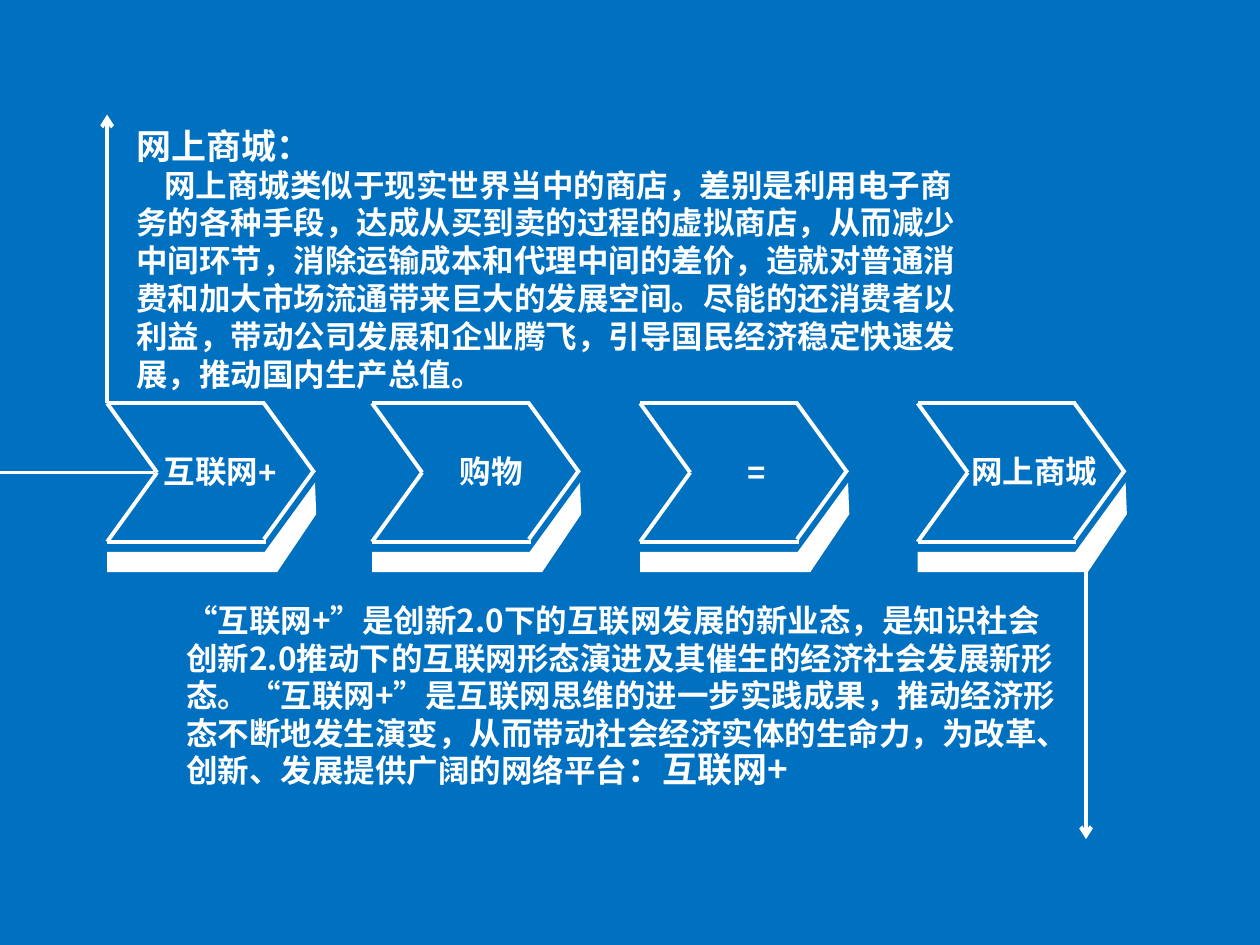
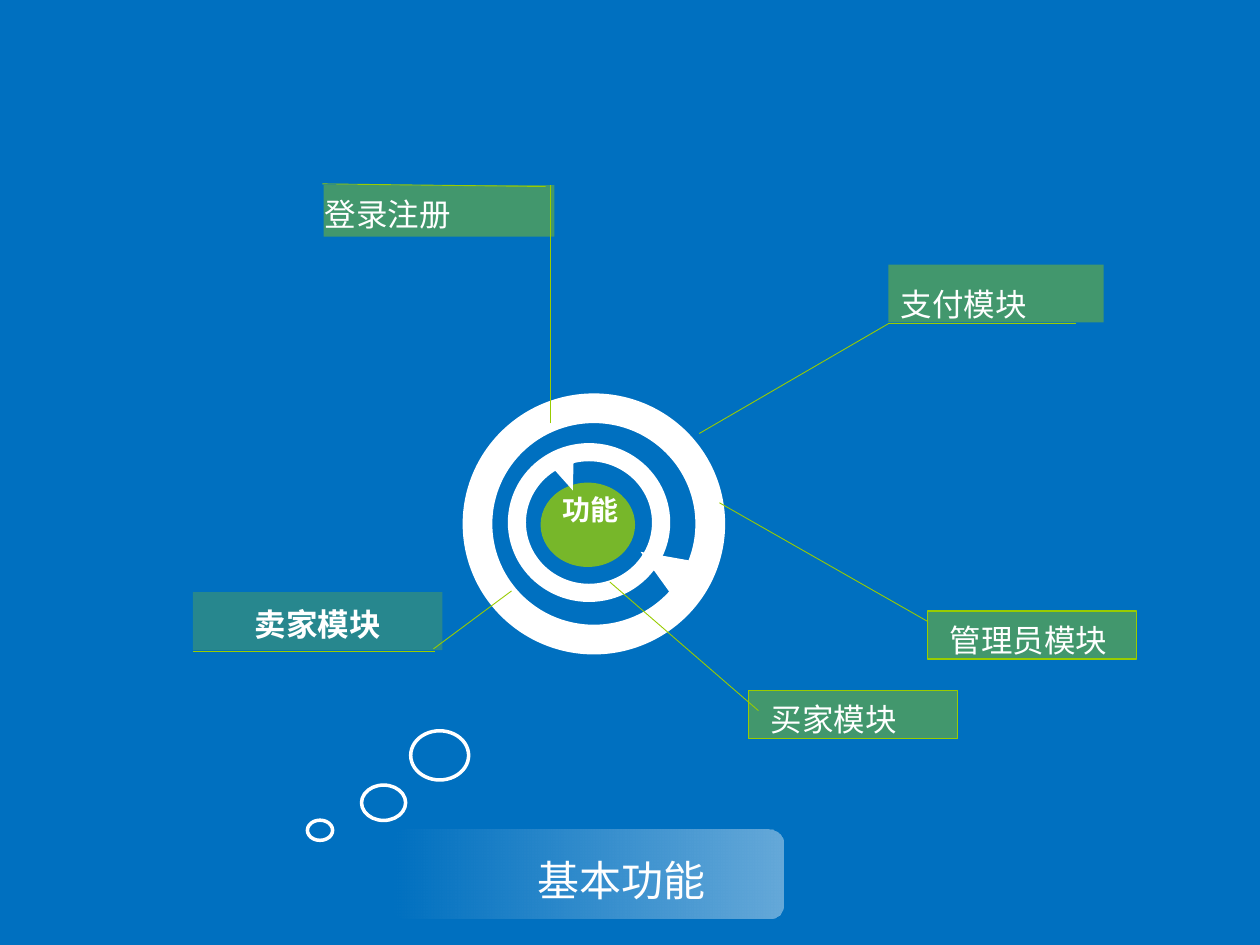
from pptx import Presentation
from pptx.dml.color import RGBColor
from pptx.enum.shapes import MSO_CONNECTOR, MSO_SHAPE
from pptx.enum.text import MSO_ANCHOR, MSO_AUTO_SIZE, PP_ALIGN
from pptx.oxml.ns import qn
from pptx.util import Pt
from lxml import etree

STRAIGHT = MSO_CONNECTOR.STRAIGHT
RECT, OVAL, DONUT = MSO_SHAPE.RECTANGLE, MSO_SHAPE.OVAL, MSO_SHAPE.DONUT
TRIANGLE, PILL = MSO_SHAPE.ISOSCELES_TRIANGLE, MSO_SHAPE.ROUNDED_RECTANGLE
LEFT, CENTER = PP_ALIGN.LEFT, PP_ALIGN.CENTER
TOP = MSO_ANCHOR.TOP
BLUE = RGBColor(0x00, 0x70, 0xC0)
WHITE = RGBColor(0xFF, 0xFF, 0xFF)
GREEN = RGBColor(0x99, 0xCC, 0x00)
CJK, LATIN = "Noto Sans CJK SC", "Arial"
FRAME = {"margin_left": Pt(7.2), "margin_right": Pt(7.2), "margin_top": Pt(5.6),
         "margin_bottom": Pt(3.6), "vertical_anchor": TOP, "word_wrap": True,
         "auto_size": MSO_AUTO_SIZE.NONE}

# ---- Content: slide 1 ----
MALL_TITLE = "网上商城："
MALL_TEXT = (
    "网上商城类似于现实世界当中的商店，差别是利用电子商务的各种手段，达成从买到卖的过程的虚拟商店，"
    "从而减少中间环节，消除运输成本和代理中间的差价，造就对普通消费和加大市场流通带来巨大的发展空间。"
    "尽能的还消费者以利益，带动公司发展和企业腾飞，引导国民经济稳定快速发展，推动国内生产总值。")
INTERNET_TEXT = (
    "“互联网+”是创新2.0下的互联网发展的新业态，是知识社会创新2.0推动下的互联网形态演进及其催生的"
    "经济社会发展新形态。“互联网+”是互联网思维的进一步实践成果，推动经济形态不断地发生演变，"
    "从而带动社会经济实体的生命力，为改革、创新、发展提供广阔的网络平台")
INTERNET_END = "：互联网+"
# label, left edge of the chevron, left edge of the label
STEPS = [("互联网+", 61.2, 86.4), ("购物", 212.6, 255.6),
         ("=", 365.8, 419.8), ("网上商城", 524.4, 547.9)]
CHEVRON_TOP = 230.4
CHEVRON_LINES = [((28.6, 39.6), (0, 0)), ((90.4, 0), (0, 0)),
                 ((118.4, 39.6), (89.6, 0)), ((28.6, 39.6), (0, 79.2)),
                 ((90.6, 79.2), (0, 79.2)), ((118.4, 38.2), (89.6, 77.8))]
CHEVRON_BASE = (0, 85, 97.2, 11.5)
CHEVRON_SIDE = [(90, 85), (118.8, 45.4), (119.5, 63.4), (97.2, 96.5)]
LEAD_IN = ((0, 270), (87.8, 270))
ARROWS = [((61.2, 230.4), (61.2, 65.5)), ((620.6, 327), (620.6, 479.5))]

# ---- Content: slide 2 ----
FUNCTION_TITLE = "基本功能"
HUB = "功能"
# plate box, opacity %, outline, text box, alignment, bold, leader lines
MODULES = {
    "卖家模块": ((110.2, 338.4, 142.6, 33.1), 26, 0, (110.2, 340, 142.6, 30), CENTER, True,
             [((292.3, 337.7), (247.7, 370.8)), ((248.4, 372.2), (110.2, 372.2))]),
    "支付模块": ((507.6, 151.2, 123.1, 33.1), 43, 0, (507.6, 157, 107.3, 28.8), LEFT, False,
             [((399.6, 247.7), (507.6, 185)), ((507.6, 185), (614.9, 185))]),
    "登录注册": ((185, 105.8, 131.8, 29.5), 43, 0, (178.6, 105.8, 164.2, 28.8), LEFT, False,
             [((314.6, 241.9), (314.6, 105.8)), ((311.8, 106.6), (184.3, 105.1))]),
    "买家模块": ((427.7, 394.6, 119.5, 27.4), 43, 0.75, (433.4, 394.6, 107.3, 28.8), LEFT, False,
             [((348.5, 332.6), (433.4, 406.1))]),
    "管理员模块": ((529.9, 349.2, 119.5, 27.4), 43, 0.75, (535.7, 349.2, 107.3, 28.8), LEFT, False,
              [((411.1, 287.3), (529.9, 355))]),
}
BUBBLES = [(175.7, 468.7, 14.4, 11.5), (206.6, 448.6, 25.2, 20.2), (234.7, 417.6, 33.1, 28.1)]
HUB_DISC = (308.9, 275.8, 54, 48.2)
# ring box, ring thickness, arrow tip box, arrow tip rotation
RINGS = [((290.2, 253.2, 92.8, 90.8), 10.4, (317.5, 263.5, 13.7, 17.3), 159.8),
         ((264.4, 224.8, 150, 149.2), 17, (366.5, 308.9, 22.3, 27.4), 302.2)]


# ---- Shared drawing helpers ----
def points(values):
    return [Pt(v) for v in values]


def set_alpha(color_parent, percent):
    for color in color_parent.iter(qn("a:srgbClr")):
        etree.SubElement(color, qn("a:alpha")).set("val", str(percent * 1000))


def paint(shape, fill=None, opacity=100, line=None, width=0):
    shape.shadow.inherit = False
    if fill is None:
        shape.fill.background()
    else:
        shape.fill.solid()
        shape.fill.fore_color.rgb = fill
        if opacity < 100:
            set_alpha(shape.element.spPr.find(qn("a:solidFill")), opacity)
    if width:
        shape.line.color.rgb = line
        shape.line.width = Pt(width)
    else:
        shape.line.fill.background()
    return shape


def add_part(slide, kind, box, **look):
    return paint(slide.shapes.add_shape(kind, *points(box)), **look)


def add_line(slide, ends, color, width, arrow=False):
    start, end = ends
    line = slide.shapes.add_connector(STRAIGHT, *points(start + end))
    line.line.color.rgb = color
    line.line.width = Pt(width)
    properties = line.element.spPr
    if arrow:
        etree.SubElement(properties.find(qn("a:ln")), qn("a:tailEnd")).set("type", "arrow")
    etree.SubElement(properties, qn("a:effectLst"))


def write(holder, box, runs, bold=False, font=CJK, align=LEFT, indent=0):
    """Place a text holder and fill it with one paragraph of (text, size) runs."""
    holder.left, holder.top, holder.width, holder.height = points(box)
    frame = holder.text_frame
    for key, value in FRAME.items():
        setattr(frame, key, value)
    paragraph = frame.paragraphs[0]
    paragraph.alignment = align
    paragraph.space_before = Pt(0)
    paragraph.line_spacing = Pt(round(runs[0][1] * 1.2, 1))
    layout = paragraph._p.get_or_add_pPr()
    layout.set("marL", "0")
    layout.set("indent", str(Pt(indent)))
    etree.SubElement(layout, qn("a:buNone"))
    for text, size in runs:
        run = paragraph.add_run()
        run.text = text
        look = {"name": font, "size": Pt(size), "bold": bold}
        for key, value in look.items():
            setattr(run.font, key, value)
        run.font.color.rgb = WHITE
        east_asian = etree.Element(qn("a:ea"), typeface=CJK)
        run.font._element.find(qn("a:latin")).addnext(east_asian)


def add_text(slide, box, runs, **look):
    write(slide.shapes.add_textbox(*points(box)), box, runs, **look)


# ---- Slide 1: chevron equation ----
def add_chevron(slide, left):
    def shift(point):
        return (left + point[0], CHEVRON_TOP + point[1])

    for start, end in CHEVRON_LINES:
        add_line(slide, (shift(start), shift(end)), WHITE, 2.25)
    add_part(slide, RECT, shift(CHEVRON_BASE[:2]) + CHEVRON_BASE[2:], fill=WHITE)
    corners = [points(shift(corner)) for corner in CHEVRON_SIDE]
    outline = slide.shapes.build_freeform(*corners[0])
    outline.add_line_segments(corners[1:], close=True)
    paint(outline.convert_to_shape(), fill=WHITE)


def build_mall(prs):
    slide = prs.slides.add_slide(prs.slide_layouts[1])
    write(slide.shapes.title, (70.6, 65.5, 488.9, 28), [(MALL_TITLE, 20)], bold=True)
    write(slide.placeholders[1], (70.6, 89, 488.9, 138), [(MALL_TEXT, 18)],
          bold=True, indent=16)
    add_line(slide, LEAD_IN, WHITE, 2.25)
    for label, left, label_left in STEPS:
        add_chevron(slide, left)
        add_text(slide, (label_left, 252.7, 100, 28.8), [(label, 18)], bold=True, font=LATIN)
    for ends in ARROWS:
        add_line(slide, ends, WHITE, 2.25, arrow=True)
    add_text(slide, (99.4, 337.7, 511.2, 118.1),
             [(INTERNET_TEXT, 18), (INTERNET_END, 20)], bold=True)


# ---- Slide 2: function hub ----
def build_functions(prs):
    slide = prs.slides.add_slide(prs.slide_layouts[5])
    write(slide.shapes.title, (300.2, 482.4, 130, 36), [(FUNCTION_TITLE, 24)])
    for bubble in BUBBLES:
        add_part(slide, OVAL, bubble, line=WHITE, width=2)

    # Fading title band
    band = add_part(slide, PILL, (223.9, 473.8, 224, 51.1))
    band.fill.gradient()
    band.fill.gradient_angle = 0
    for stop, position, opacity in zip(band.fill.gradient_stops, (0, 1), (0, 40)):
        stop.position = position
        stop.color.rgb = WHITE
        set_alpha(stop._gs, opacity)

    # Hub and its rings
    add_part(slide, OVAL, HUB_DISC, fill=GREEN, opacity=78)
    for ring_box, thickness, tip_box, rotation in RINGS:
        ring = add_part(slide, DONUT, ring_box, fill=WHITE)
        ring.adjustments[0] = thickness / min(ring_box[2:])
        add_part(slide, TRIANGLE, tip_box, fill=WHITE).rotation = rotation
    add_text(slide, (314.6, 275.8, 64.1, 26.6), [(HUB, 16)], bold=True)

    # Modules around the hub
    for name, (plate, opacity, outline, text_box, align, bold, leaders) in MODULES.items():
        add_part(slide, RECT, plate, fill=GREEN, opacity=opacity, line=GREEN, width=outline)
        for ends in leaders:
            add_line(slide, ends, GREEN, 0.5)
        add_text(slide, text_box, [(name, 18)], bold=bold, align=align)


def main():
    prs = Presentation()
    prs.slide_width, prs.slide_height = Pt(720), Pt(540)
    backdrop = prs.slide_master.background.fill
    backdrop.solid()
    backdrop.fore_color.rgb = BLUE
    build_mall(prs)
    build_functions(prs)
    prs.save("out.pptx")


if __name__ == "__main__":
    main()
